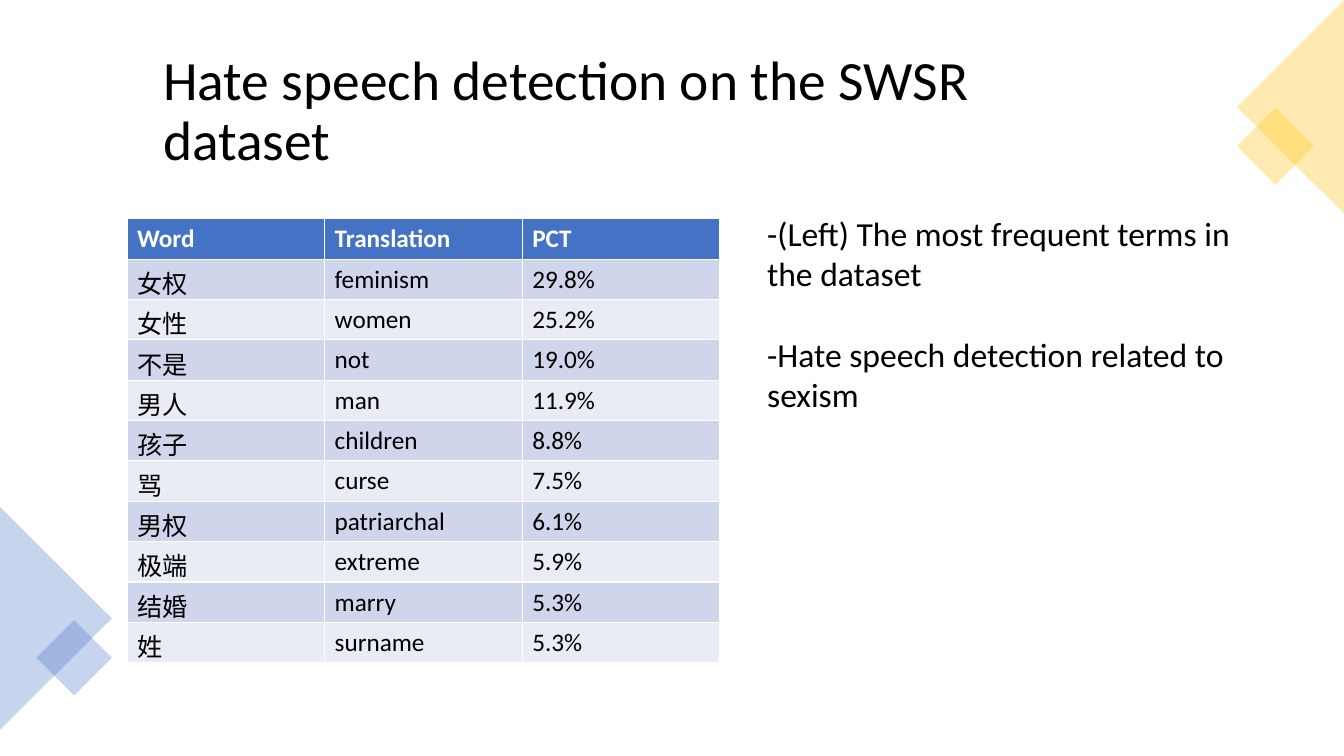
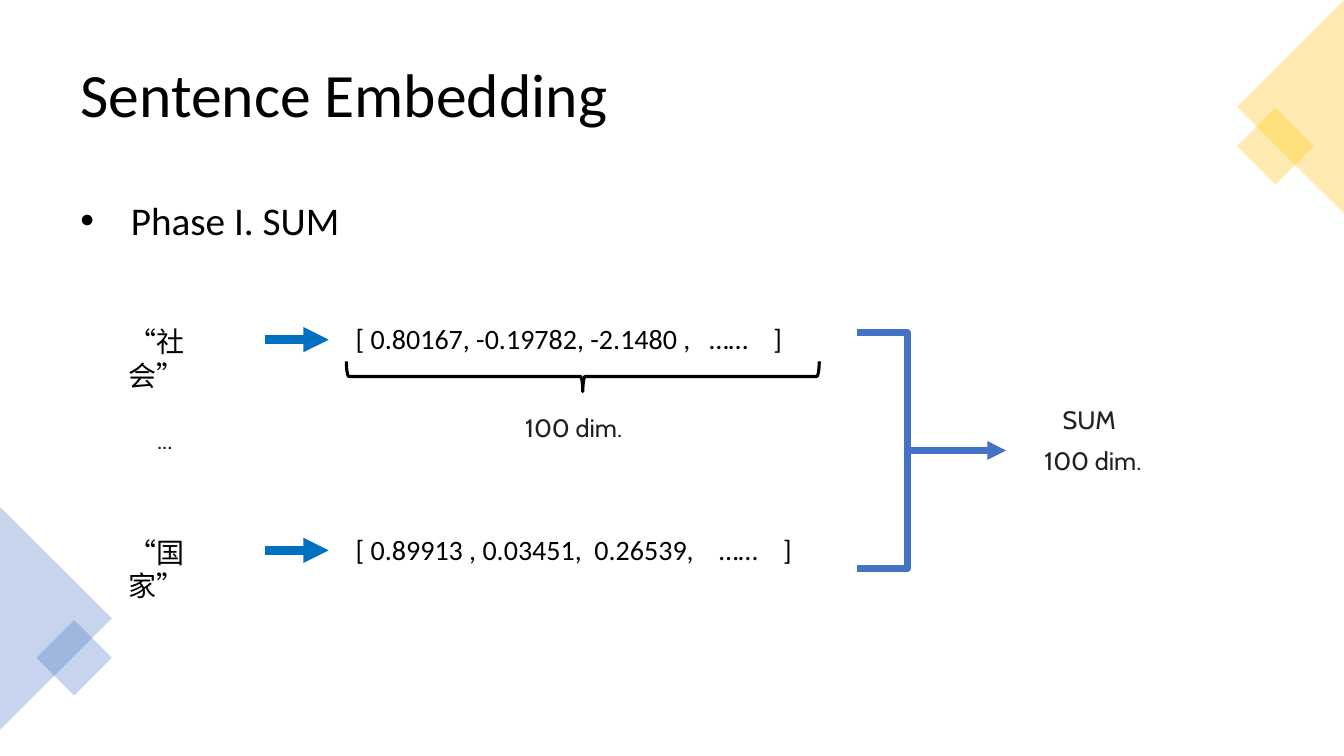
from lxml import etree
from pptx import Presentation
from pptx.dml.color import RGBColor
from pptx.enum.lang import MSO_LANGUAGE_ID
from pptx.enum.shapes import MSO_CONNECTOR, MSO_SHAPE
from pptx.enum.text import MSO_ANCHOR
from pptx.oxml.ns import qn
from pptx.util import Inches, Pt

STRAIGHT, ELBOW = MSO_CONNECTOR.STRAIGHT, MSO_CONNECTOR.ELBOW
SQUARE, TRIANGLE = MSO_SHAPE.RECTANGLE, MSO_SHAPE.ISOSCELES_TRIANGLE
BRACE = MSO_SHAPE.RIGHT_BRACE
TOP, MIDDLE = MSO_ANCHOR.TOP, MSO_ANCHOR.MIDDLE
CHINESE = MSO_LANGUAGE_ID.SIMPLIFIED_CHINESE

BLACK = RGBColor(0x00, 0x00, 0x00)
WHITE = RGBColor(0xFF, 0xFF, 0xFF)
CHARCOAL = RGBColor(0x20, 0x21, 0x24)
BLUE = RGBColor(0x44, 0x72, 0xC4)
ARROW_BLUE = RGBColor(0x00, 0x70, 0xC0)
GOLD = RGBColor(0xFF, 0xC0, 0x00)
ROW_FILLS = (RGBColor(0xCF, 0xD5, 0xEA), RGBColor(0xE9, 0xEB, 0xF5))
BODY_FONT, LABEL_FONT = "Calibri", "Cabin"

# Corner decoration: preset, (left, top, width, height), rotation, colour
CORNERS = [
    (SQUARE, (12.38, 1.18, 0.54, 0.54), 45, GOLD),
    (TRIANGLE, (11.74, 0.53, 2.12, 1.06), 270, GOLD),
    (TRIANGLE, (-0.55, 5.58, 2.21, 1.11), 90, BLUE),
    (SQUARE, (0.47, 6.26, 0.53, 0.53), 45, BLUE),
]
CORNER_OPACITY = 30

DATASET_TITLE = "Hate speech detection on the SWSR dataset"
DATASET_NOTES = [
    "-(Left) The most frequent terms in the dataset",
    "-Hate speech detection related to sexism",
]
TERMS = [
    ("Word", "Translation", "PCT"),
    ("女权", "feminism", "29.8%"),
    ("女性", "women", "25.2%"),
    ("不是", "not", "19.0%"),
    ("男人", "man", "11.9%"),
    ("孩子", "children", "8.8%"),
    ("骂", "curse", "7.5%"),
    ("男权", "patriarchal", "6.1%"),
    ("极端", "extreme", "5.9%"),
    ("结婚", "marry", "5.3%"),
    ("姓", "surname", "5.3%"),
]
COLUMN_WIDTH, ROW_HEIGHT = 1.96, 0.4

EMBEDDING_TITLE = "Sentence Embedding"
PHASE = "Phase I.\u00a0SUM"
# Word, its vector, height of the arrow between them
EMBEDDINGS = [
    ("“社会”", "[ 0.80167, -0.19782, -2.1480 ,   ……    ]", 3.37),
    ("“国家”", "[ 0.89913 , 0.03451,  0.26539,    ……    ]", 5.46),
]
# Text, left, top, width
LABELS = [
    ("100 dim.", 5.11, 4.04, 1.57),
    ("SUM", 10.44, 3.96, 1.09),
    ("100 dim.", 10.26, 4.37, 1.57),
    ("...", 1.46, 4.16, 1.57),
]
BRACKET_LEFT, BRACKET_ELBOW, BRACKET_MIDDLE = 8.5, 9.0, 4.47
# Start height, end of the line, arrowhead
BRACKET_ARMS = [(3.3, 9.76, False), (5.64, 9.98, True)]


def inches(values):
    return [Inches(value) for value in values]


def style_font(font, size, color=BLACK, name=BODY_FONT, bold=False):
    font.size, font.name, font.bold = Pt(size), name, bold
    font.color.rgb = color


def add_text(slide, lines, box, size, color=BLACK, font_name=BODY_FONT,
             anchor=TOP, line_spacing=None, gap=0):
    """Add a text box with one paragraph per line, gap points apart."""
    text_frame = slide.shapes.add_textbox(*inches(box)).text_frame
    text_frame.word_wrap = True
    text_frame.vertical_anchor = anchor
    text_frame.text = "\n".join(lines)
    for index, paragraph in enumerate(text_frame.paragraphs):
        if line_spacing:
            paragraph.line_spacing = line_spacing
        if index and gap:
            paragraph.space_before = Pt(gap)
        for run in paragraph.runs:
            style_font(run.font, size, color, font_name)
    return text_frame


def add_title(slide, title, box, size):
    add_text(slide, [title], box, size, anchor=MIDDLE, line_spacing=0.9)


def add_bullet(paragraph, indent):
    properties = paragraph._p.get_or_add_pPr()
    properties.set("marL", str(Inches(indent)))
    properties.set("indent", str(-Inches(indent)))
    etree.SubElement(properties, qn("a:buFont")).set("typeface", "Arial")
    etree.SubElement(properties, qn("a:buChar")).set("char", "•")


def add_line(slide, kind, ends, color, width, arrow=False):
    connector = slide.shapes.add_connector(kind, *inches(ends))
    connector.line.color.rgb = color
    connector.line.width = Pt(width)
    if arrow:
        line = connector.line._get_or_add_ln()
        etree.SubElement(line, qn("a:tailEnd")).set("type", "triangle")
    etree.SubElement(connector._element.spPr, qn("a:effectLst"))
    return connector


def set_elbow(connector, fraction):
    """Place the bend at this fraction of the connector's width."""
    geometry = connector._element.spPr.find(qn("a:prstGeom"))
    guides = geometry.find(qn("a:avLst"))
    if guides is None:
        guides = etree.SubElement(geometry, qn("a:avLst"))
    guide = etree.SubElement(guides, qn("a:gd"))
    guide.set("name", "adj1")
    guide.set("fmla", f"val {round(fraction * 100000)}")


def add_corners(slide):
    for preset, box, rotation, color in CORNERS:
        shape = slide.shapes.add_shape(preset, *inches(box))
        shape.rotation = rotation
        shape.shadow.inherit = False
        shape.line.fill.background()
        shape.fill.solid()
        shape.fill.fore_color.rgb = color
        color_element = shape._element.spPr.find(".//" + qn("a:srgbClr"))
        alpha = etree.SubElement(color_element, qn("a:alpha"))
        alpha.set("val", str(CORNER_OPACITY * 1000))


def add_terms_table(slide):
    rows, columns = len(TERMS), len(TERMS[0])
    box = (1.26, 2.17, columns * COLUMN_WIDTH, rows * ROW_HEIGHT)
    table = slide.shapes.add_table(rows, columns, *inches(box)).table
    for row, values in enumerate(TERMS):
        header = row == 0
        for column, value in enumerate(values):
            cell = table.cell(row, column)
            cell.text = value
            cell.vertical_anchor = MIDDLE
            cell.fill.solid()
            cell.fill.fore_color.rgb = BLUE if header else ROW_FILLS[(row - 1) % 2]
            style_font(cell.text_frame.paragraphs[0].runs[0].font, 18,
                       WHITE if header else BLACK, bold=header)


def build_dataset_slide(slide):
    add_title(slide, DATASET_TITLE, (1.52, 0.53, 9.82, 1.18), 39.6)
    add_text(slide, DATASET_NOTES, (7.51, 2.06, 5.19, 4.14), 24, gap=29)
    add_terms_table(slide)


def build_embedding_slide(slide):
    add_title(slide, EMBEDDING_TITLE, (0.7, 0.35, 11.93, 1.24), 44)
    phase = add_text(slide, [PHASE], (0.7, 1.95, 11.93, 4.81), 28, line_spacing=0.9)
    add_bullet(phase.paragraphs[0], 0.5)

    for word, vector, middle in EMBEDDINGS:
        word_frame = add_text(slide, [word], (1.18, middle - 0.2, 1.25, 0.44), 20)
        word_frame.paragraphs[0].runs[0].font.language_id = CHINESE
        add_line(slide, STRAIGHT, (2.63, middle, 3.26, middle), ARROW_BLUE, 6, arrow=True)
        add_text(slide, [vector], (3.43, middle - 0.23, 4.91, 0.44), 20)

    brace = slide.shapes.add_shape(BRACE, *inches((5.63, 1.39, 0.3, 4.69)))
    brace.rotation = 90
    brace.shadow.inherit = False
    brace.fill.background()
    brace.line.color.rgb = BLACK
    brace.line.width = Pt(2.25)

    for start, right, arrow in BRACKET_ARMS:
        ends = (BRACKET_LEFT, start, right, BRACKET_MIDDLE)
        arm = add_line(slide, ELBOW, ends, BLUE, 4.5, arrow)
        set_elbow(arm, (BRACKET_ELBOW - BRACKET_LEFT) / (right - BRACKET_LEFT))

    for text, left, top, width in LABELS:
        add_text(slide, [text], (left, top, width, 0.4), 18, CHARCOAL, LABEL_FONT)


def main():
    presentation = Presentation()
    presentation.slide_width = Inches(13.33)
    presentation.slide_height = Inches(7.5)
    blank_layout = presentation.slide_layouts[6]
    for build in (build_dataset_slide, build_embedding_slide):
        slide = presentation.slides.add_slide(blank_layout)
        build(slide)
        add_corners(slide)
    presentation.save("out.pptx")


if __name__ == "__main__":
    main()
